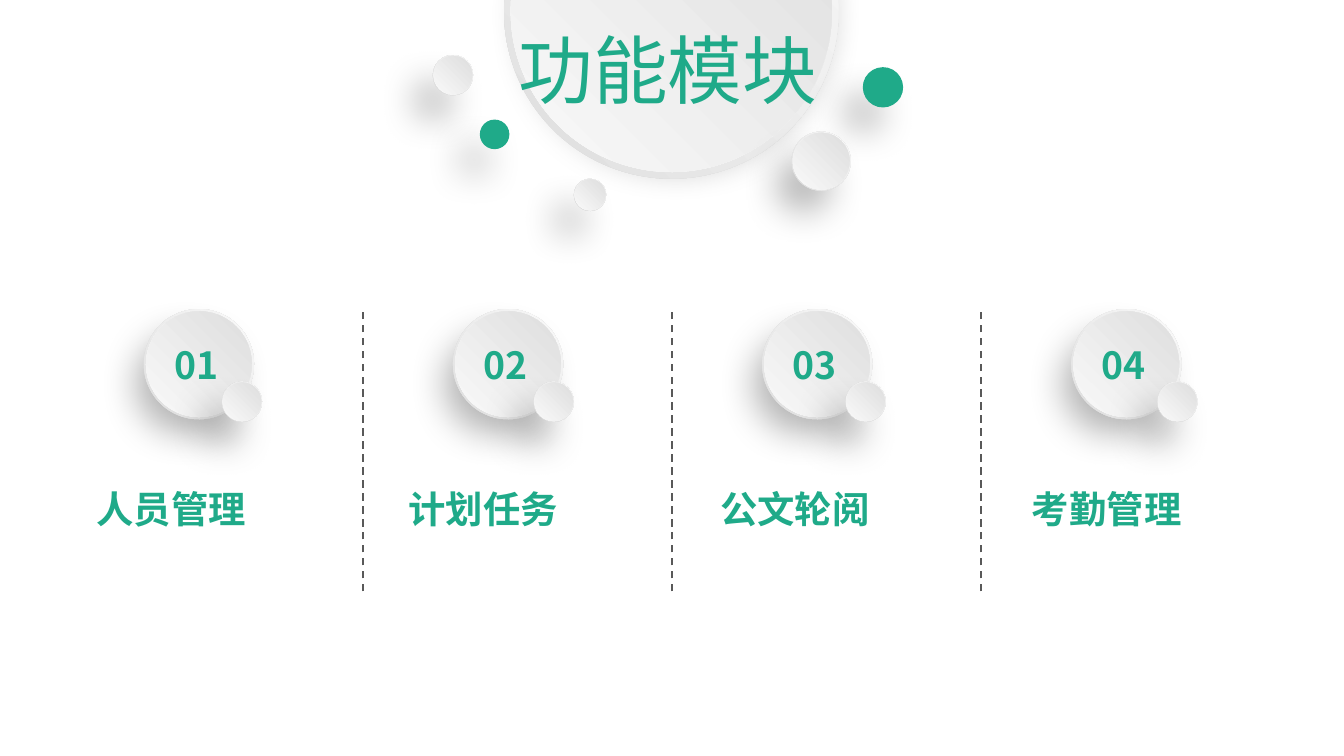
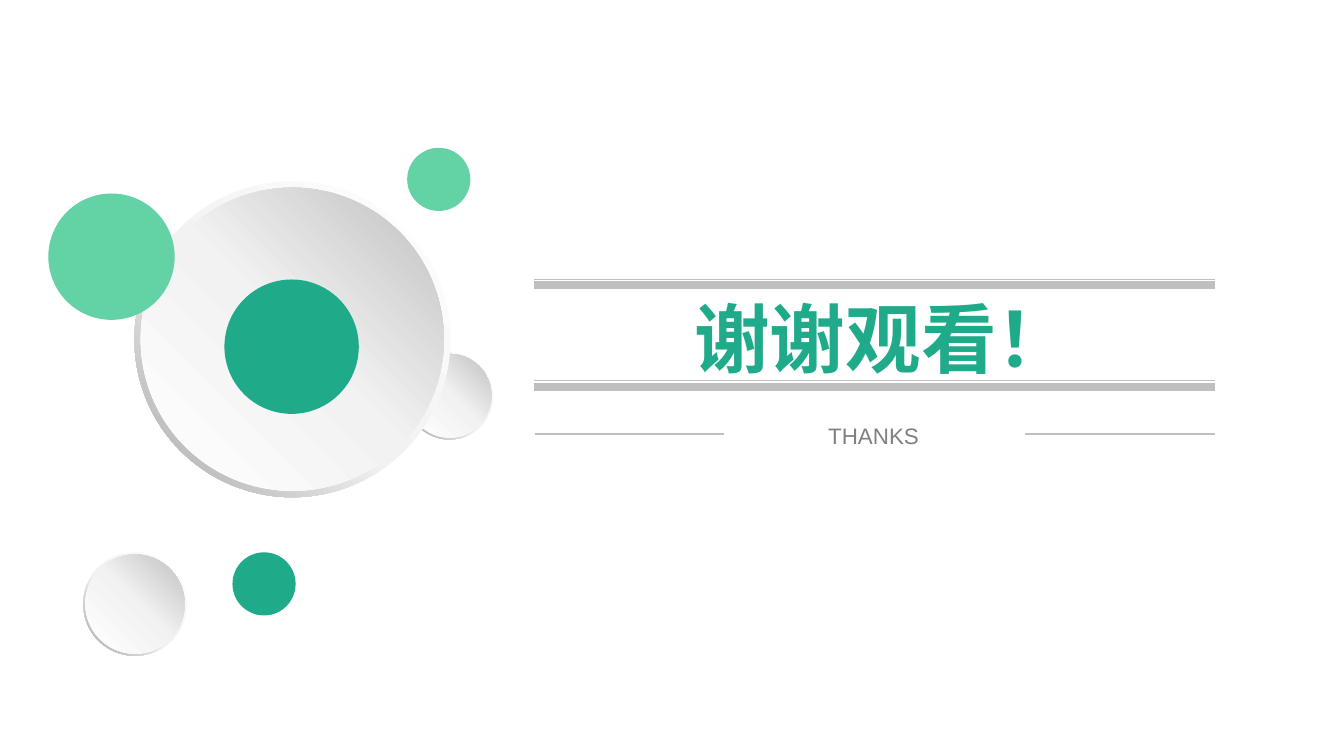
import dataclasses

import lxml.etree
import pptx
import pptx.dml.color
import pptx.enum.dml
import pptx.enum.shapes
import pptx.enum.text
import pptx.oxml.ns
import pptx.util

Inches = pptx.util.Inches
Pt = pptx.util.Pt
qn = pptx.oxml.ns.qn
SHAPE = pptx.enum.shapes.MSO_SHAPE
ALIGN = pptx.enum.text.PP_ALIGN
DASH = pptx.enum.dml.MSO_LINE.DASH


@dataclasses.dataclass(frozen=True)
class Gradient:
    """Colour stops, linear at an angle or radial from the top right corner."""

    stops: tuple
    angle: int | None = None


@dataclasses.dataclass(frozen=True)
class Theme:
    """Colours, fonts and type sizes of both slides."""

    green: str = "1FAA89"
    mint: str = "63D2A4"
    rule: str = "BFBFBF"
    divider: str = "595959"
    caption: str = "808080"
    cjk: str = "Noto Sans CJK SC"
    latin: str = "Arial"
    title_size: float = 40
    closing_size: float = 40.5
    label_size: float = 20
    caption_size: float = 12
    knob_rim: Gradient = Gradient(((0, "FFFFFF"), (100, "D9D9D9")))
    knob_face: Gradient = Gradient(((0, "D9D9D9"), (100, "FEFEFE")))
    plate_rim: Gradient = Gradient(((0, "FFFFFF"), (55, "F2F2F2"), (100, "A6A6A6")), 135)
    plate_face: Gradient = Gradient(((0, "FFFFFF"), (51, "F2F2F2"), (100, "BFBFBF")), 315)


THEME = Theme()
FACE_RATIO = 0.96
KNOB_TURN = 29.5


def rgb(color):
    """Turn a hex string into a colour."""
    return pptx.dml.color.RGBColor.from_string(color)


def sub(parent, tag, **attrs):
    """Add a DrawingML child element."""
    values = {name: str(value) for name, value in attrs.items()}
    return lxml.etree.SubElement(parent, qn(tag), values)


def paint(sp, fill):
    """Fill a shape with a colour or a gradient."""
    if isinstance(fill, str):
        sp.fill.solid()
        sp.fill.fore_color.rgb = rgb(fill)
        return
    sp.fill.background()
    spPr = sp._element.spPr
    grad = sub(spPr, "a:gradFill", rotWithShape=1)
    stops = sub(grad, "a:gsLst")
    for position, color in fill.stops:
        sub(sub(stops, "a:gs", pos=position * 1000), "a:srgbClr", val=color)
    if fill.angle is None:
        radial = sub(grad, "a:path", path="circle")
        sub(radial, "a:fillToRect", l=100000, b=100000)
    else:
        sub(grad, "a:lin", ang=fill.angle * 60000, scaled=0)
    spPr.replace(spPr.find(qn("a:noFill")), grad)


def cast_shadow(sp):
    """Give a shape a soft, slightly smaller shadow to the lower left."""
    shadow = sub(sp._element.spPr.find(qn("a:effectLst")), "a:outerShdw",
                 blurRad=Pt(20), dist=Pt(19), dir=130 * 60000,
                 sx=90000, sy=90000, algn="tr", rotWithShape=0)
    sub(sub(shadow, "a:srgbClr", val="000000"), "a:alpha", val=30000)


def add_circle(shapes, x, y, size, fill, kind=SHAPE.OVAL):
    """Add a round shape without an outline."""
    sp = shapes.add_shape(kind, Inches(x), Inches(y), Inches(size), Inches(size))
    sp.line.fill.background()
    sp.shadow.inherit = False
    paint(sp, fill)
    return sp


def add_disc(s, x, y, size, rim_fill, face_fill, rim_kind=SHAPE.OVAL):
    """Add a group of a rim and a concentric face."""
    group = s.shapes.add_group_shape()
    inset = size * (1 - FACE_RATIO) / 2
    rim = add_circle(group.shapes, x, y, size, rim_fill, rim_kind)
    face = add_circle(group.shapes, x + inset, y + inset, size * FACE_RATIO, face_fill)
    return group, rim, face


def add_knob(s, x, y, size, color=None):
    """Add a turned disc with a shadow, grey unless a colour is given."""
    group, rim, face = add_disc(s, x, y, size, color or THEME.knob_rim,
                                color or THEME.knob_face)
    rim.rotation = face.rotation = KNOB_TURN
    cast_shadow(rim)
    return group


def add_plate(s, x, y, size, color=None):
    """Add a disc with a ring around it, grey unless a colour is given."""
    rim = add_disc(s, x, y, size, color or THEME.plate_rim,
                   color or THEME.plate_face, SHAPE.DONUT)[1]
    rim.adjustments[0] = 0.049


def set_text(sp, text, size, color=THEME.green, font=THEME.cjk, bold=False,
             align=ALIGN.LEFT, wrap=True):
    """Write one formatted paragraph."""
    tf = sp.text_frame
    tf.word_wrap = wrap
    tf.auto_size = pptx.enum.text.MSO_AUTO_SIZE.SHAPE_TO_FIT_TEXT
    tf.vertical_anchor = pptx.enum.text.MSO_ANCHOR.TOP
    p = tf.paragraphs[0]
    p.text = text
    p.alignment = align
    p.font.size = Pt(size)
    p.font.bold = bold
    p.font.color.rgb = rgb(color)
    p.font.name = font
    sub(p._p.pPr.find(qn("a:defRPr")), "a:ea", typeface=font)


def add_text(shapes, x, y, w, h, text, size, **style):
    """Add a text box with one paragraph."""
    sp = shapes.add_textbox(Inches(x), Inches(y), Inches(w), Inches(h))
    set_text(sp, text, size, **style)


def place_title(s, x, y, w, h, text, size, **style):
    """Move the title above the shapes drawn so far and format it."""
    sp = s.shapes.title
    sp.left, sp.top, sp.width, sp.height = (Inches(v) for v in (x, y, w, h))
    set_text(sp, text, size, **style)
    s.shapes._spTree.append(sp._element)


def add_line(s, x1, y1, x2, y2, color, width, dash=None):
    """Add a straight line without a shadow."""
    line = s.shapes.add_connector(pptx.enum.shapes.MSO_CONNECTOR.STRAIGHT,
                                  Inches(x1), Inches(y1), Inches(x2), Inches(y2))
    line.line.color.rgb = rgb(color)
    line.line.width = Pt(width)
    if dash:
        line.line.dash_style = dash
    sub(line._element.spPr, "a:effectLst")


def add_module(s, index, name):
    """Add one numbered column of the module overview."""
    left = 2.3 * index
    drift = 2.32 * index
    group = add_knob(s, 1.07 + left, 2.3, 0.82)
    add_text(group.shapes, 1.2 + left, 2.5, 0.58, 0.44, f"{index + 1:02}",
             THEME.label_size, bold=True)
    add_knob(s, 1.65 + drift, 2.84, 0.3)
    add_text(s.shapes, 0.62 + drift, 3.57, 2.17, 0.44, name, THEME.label_size, bold=True)


def build_modules(s):
    """Build the overview of the four modules."""
    for x, y, size, color in (
        (3.75, -1.16, 2.49, None),
        (3.22, 0.41, 0.3, None),
        (6.42, 0.5, 0.3, THEME.green),
        (4.27, 1.33, 0.24, None),
        (5.89, 0.98, 0.44, None),
        (3.57, 0.89, 0.22, THEME.green),
    ):
        add_knob(s, x, y, size, color)
    place_title(s, 3.76, 0.13, 2.59, 0.77, "功能模块", THEME.title_size)
    for index, name in enumerate(("人员管理", "计划任务", "公文轮阅", "考勤管理")):
        add_module(s, index, name)
    for x in (2.7, 5, 7.3):
        add_line(s, x, 4.4, x, 2.29, THEME.divider, 1, DASH)


def build_closing(s):
    """Build the closing slide."""
    for x, y, size, color in (
        (3.03, 1.1, 0.47, THEME.mint),
        (3.02, 2.62, 0.65, None),
        (1, 1.35, 2.35, None),
        (0.36, 1.44, 0.94, THEME.mint),
        (0.62, 4.11, 0.77, None),
        (1.73, 4.11, 0.47, THEME.green),
    ):
        add_plate(s, x, y, size, color)
    add_circle(s.shapes, 1.67, 2.08, 1, THEME.green)
    for y, width in ((2.08, 0.5), (2.12, 4.5), (2.83, 0.5), (2.88, 4.5)):
        add_line(s, 3.97, y, 9.04, y, THEME.rule, width)
    place_title(s, 3.35, 2.12, 6.32, 0.78, " 谢谢观看！", THEME.closing_size,
                bold=True, align=ALIGN.CENTER)
    for x in (3.98, 7.63):
        add_line(s, x, 3.23, x + 1.41, 3.23, THEME.rule, 1)
    add_text(s.shapes, 6.06, 3.09, 0.88, 0.3, "THANKS", THEME.caption_size,
             color=THEME.caption, font=THEME.latin, align=ALIGN.CENTER, wrap=False)


def main():
    """Build and save the presentation."""
    prs = pptx.Presentation()
    prs.slide_width = Inches(10)
    prs.slide_height = prs.slide_width * 9 // 16
    for build in (build_modules, build_closing):
        build(prs.slides.add_slide(prs.slide_layouts[5]))
    prs.save("out.pptx")


if __name__ == "__main__":
    main()
